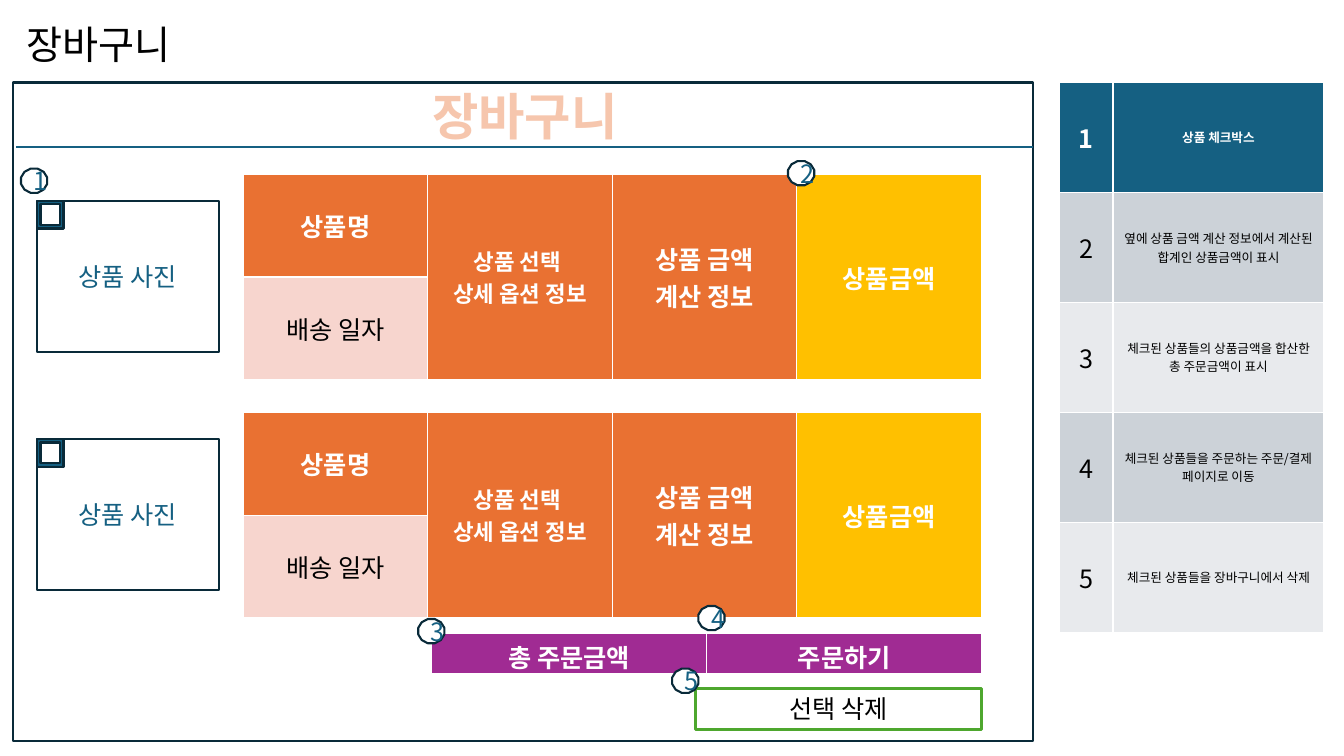
from lxml import etree
from pptx import Presentation, util as u
from pptx.dml.color import RGBColor
from pptx.enum import shapes, text
from pptx.oxml import ns

WHITE = RGBColor(0xFF, 0xFF, 0xFF)
BLACK = RGBColor(0x00, 0x00, 0x00)
NAVY = RGBColor(0x09, 0x2A, 0x39)
TEAL = RGBColor(0x15, 0x60, 0x82)
ORANGE = RGBColor(0xE9, 0x71, 0x32)
PEACH = RGBColor(0xF6, 0xC6, 0xAD)
PINK = RGBColor(0xF7, 0xD5, 0xCE)
YELLOW = RGBColor(0xFF, 0xC0, 0x00)
PURPLE = RGBColor(0xA0, 0x2B, 0x93)
GREEN = RGBColor(0x4E, 0xA7, 0x2E)
BANDS = RGBColor(0xCC, 0xD2, 0xD8), RGBColor(0xE8, 0xEA, 0xED)

SHAPE = shapes.MSO_SHAPE
CENTER = text.PP_ALIGN.CENTER


class Wireframe:
    font = "Noto Sans CJK KR"
    line_width = 1.5

    def __init__(self, slide):
        self.s = slide

    def add_lines(self, tf, lines, size, color, bold=False, align=CENTER):
        for i, line in enumerate(lines):
            p = tf.add_paragraph() if i else tf.paragraphs[0]
            p.alignment = align
            r = p.add_run()
            r.text = line
            r.font.name = self.font
            r.font.size = u.Pt(size)
            r.font.bold = bold
            r.font.color.rgb = color
            ea = etree.SubElement(r.font._element, ns.qn("a:ea"))
            ea.set("typeface", self.font)

    def shape(self, kind, x, y, w, h, fill=WHITE, label=None):
        sp = self.s.shapes.add_shape(kind, u.Cm(x), u.Cm(y), u.Cm(w), u.Cm(h))
        sp.shadow.inherit = False
        sp.fill.solid()
        sp.fill.fore_color.rgb = fill
        sp.line.color.rgb = NAVY
        sp.line.width = u.Pt(self.line_width)
        if label:
            self.add_lines(sp.text_frame, [label], 18, TEAL)

    def badge(self, number, x, y):
        self.shape(SHAPE.DODECAGON, x, y, 0.66, 0.61, label=str(number))

    def textbox(self, label, x, y, w, h, size, color=BLACK, bold=False, align=CENTER):
        sp = self.s.shapes.add_textbox(u.Cm(x), u.Cm(y), u.Cm(w), u.Cm(h))
        tf = sp.text_frame
        tf.word_wrap = True
        tf.auto_size = text.MSO_AUTO_SIZE.SHAPE_TO_FIT_TEXT
        self.add_lines(tf, [label], size, color, bold, align)
        return sp

    def outline_text(self, sp, color, width):
        r = sp.text_frame.paragraphs[0].runs[0]
        ln = etree.Element(ns.qn("a:ln"), w=str(u.Pt(width)))
        fill = etree.SubElement(ln, ns.qn("a:solidFill"))
        etree.SubElement(fill, ns.qn("a:srgbClr"), val=str(color))
        r.font._element.insert(0, ln)

    def line(self, x1, y1, x2, y2):
        c = self.s.shapes.add_connector(
            shapes.MSO_CONNECTOR.STRAIGHT, u.Cm(x1), u.Cm(y1), u.Cm(x2), u.Cm(y2))
        c.line.color.rgb = TEAL
        c.line.width = u.Pt(self.line_width)
        etree.SubElement(c._element.spPr, ns.qn("a:effectLst"))

    def table(self, x, y, widths, height, rows, row_height):
        frame = self.s.shapes.add_table(
            rows, len(widths), u.Cm(x), u.Cm(y), u.Cm(sum(widths)), u.Cm(height))
        for column, width in zip(frame.table.columns, widths):
            column.width = u.Cm(width)
        for row in frame.table.rows:
            row.height = u.Cm(row_height)
        frame.height = u.Cm(height)
        return frame.table

    def cell(self, cell, lines, fill, size=18, color=WHITE, bold=True):
        cell.fill.solid()
        cell.fill.fore_color.rgb = fill
        cell.vertical_anchor = text.MSO_ANCHOR.MIDDLE
        self.add_lines(cell.text_frame, lines, size, color, bold)

    def legend(self, x, y, notes):
        table = self.table(x, y, [1.35, 5.31], 13.82, len(notes), 2.77)
        for i, note in enumerate(notes):
            fill = BANDS[(i - 1) % 2] if i else TEAL
            color = BLACK if i else WHITE
            self.cell(table.cell(i, 0), [str(i + 1)], fill, 18, color, i == 0)
            self.cell(table.cell(i, 1), [note], fill, 9, color, i == 0)

    def item_table(self, x, y):
        table = self.table(x, y, [4.65] * 4, 5.16, 2, 2.58)
        merged = [
            (["상품 선택 ", "상세 옵션 정보"], ORANGE, 16),
            (["상품 금액", "계산 정보"], ORANGE, 18),
            (["상품금액"], YELLOW, 18),
        ]
        self.cell(table.cell(0, 0), ["상품명"], ORANGE)
        self.cell(table.cell(1, 0), ["배송 일자"], PINK, color=BLACK, bold=False)
        for column, (lines, fill, size) in enumerate(merged, 1):
            table.cell(0, column).merge(table.cell(1, column))
            self.cell(table.cell(0, column), lines, fill, size)

    def order_bar(self, x, y, labels):
        table = self.table(x, y, [6.93] * len(labels), 1.01, 1, 0)
        for column, label in enumerate(labels):
            self.cell(table.cell(0, column), [label], PURPLE)


def main():
    prs = Presentation()
    prs.slide_width, prs.slide_height = u.Cm(33.87), u.Cm(19.05)
    page = Wireframe(prs.slides.add_slide(prs.slide_layouts[6]))

    page.textbox("장바구니", 0.41, 0.38, 11.81, 1.45, 28, align=text.PP_ALIGN.LEFT)
    page.shape(SHAPE.RECTANGLE, 0.33, 2.08, 25.7, 16.59)
    heading = page.textbox("장바구니", 10.01, 2.01, 6.43, 1.8, 36, PEACH, bold=True)
    page.outline_text(heading, ORANGE, 1.75)
    page.line(0.41, 3.71, 26.03, 3.71)
    page.legend(26.7, 2.08, [
        "상품 체크박스",
        "옆에 상품 금액 계산 정보에서 계산된 합계인 상품금액이 표시",
        "체크된 상품들의 상품금액을 합산한 총 주문금액이 표시",
        "체크된 상품들을 주문하는 주문/결제 페이지로 이동",
        "체크된 상품들을 장바구니에서 삭제",
    ])

    for y in (4.4, 10.4):
        page.item_table(6.13, y)
        page.shape(SHAPE.RECTANGLE, 0.94, y + 0.67, 4.57, 3.8, label="상품 사진")
        page.shape(SHAPE.FRAME, 0.94, y + 0.67, 0.66, 0.69, fill=TEAL)

    page.order_bar(10.88, 15.96, ["총 주문금액", "주문하기"])
    delete = page.textbox("선택 삭제", 17.53, 17.35, 7.21, 1.03, 18)
    delete.line.color.rgb = GREEN
    delete.line.width = u.Pt(2.25)

    places = [(0.53, 4.25), (19.86, 4.06), (10.54, 15.6), (17.6, 15.27), (16.94, 16.85)]
    for number, (x, y) in enumerate(places, 1):
        page.badge(number, x, y)

    prs.save("out.pptx")


if __name__ == "__main__":
    main()
